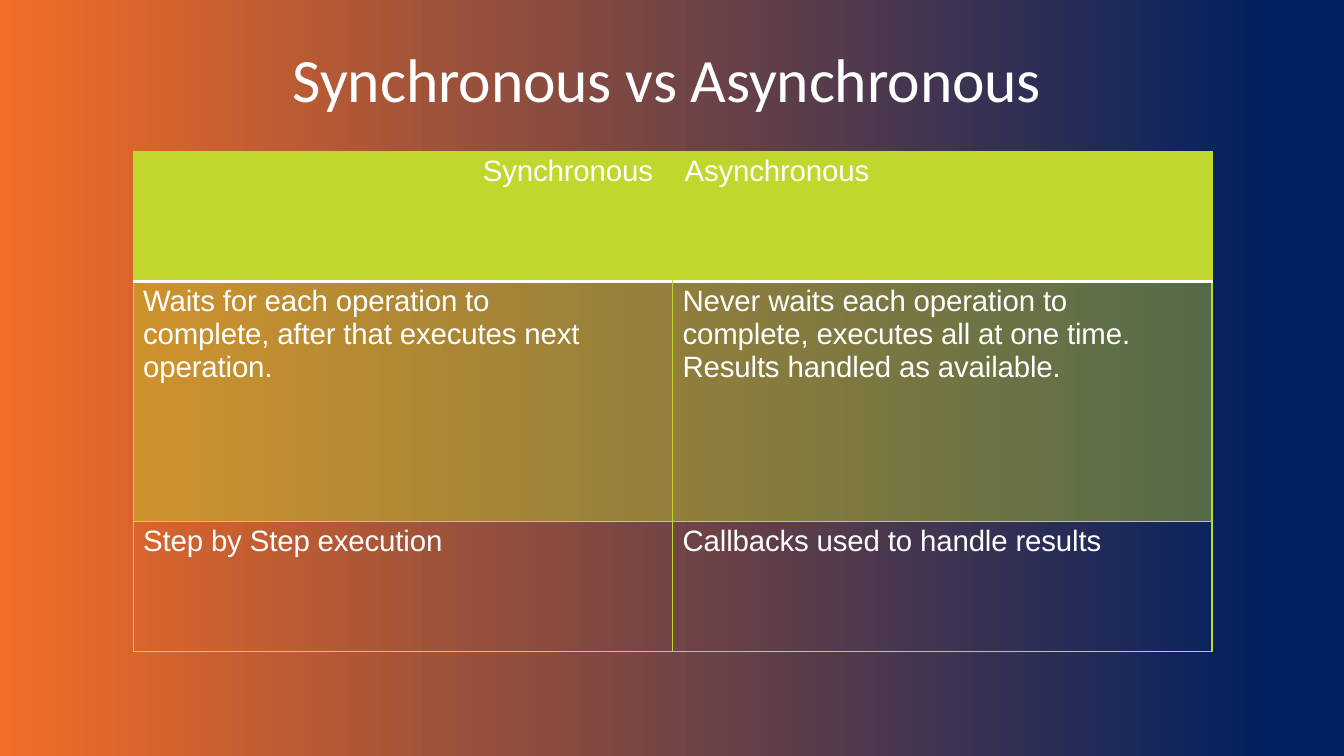
from lxml.etree import SubElement
from pptx import Presentation
from pptx.dml.color import RGBColor
from pptx.enum.text import MSO_ANCHOR, PP_ALIGN
from pptx.oxml.ns import qn
from pptx.util import Inches, Pt

COLORS = {"navy": "002060", "orange": "F26D26", "lime": "C1D72E", "white": "FFFFFF"}
ROWS = [
    ("Waits for each operation to complete, after that executes next operation.",
     "Never waits each operation to complete, executes all at one time. Results handled as available."),
    ("Step by Step execution", "Callbacks used to handle results"),
]


def rgb(name):
    return RGBColor.from_string(COLORS[name])


class SlideBuilder:
    heading_font = "Calibri"
    body_font = "Arial"

    def __init__(self, prs):
        self.s = prs.slides.add_slide(prs.slide_layouts[5])

    def background(self, start, end):
        fill = self.s.background.fill
        fill.gradient()
        fill.gradient_angle = 180
        for stop, name, position in zip(fill.gradient_stops, (start, end), (0.05, 1)):
            stop.color.rgb = rgb(name)
            stop.position = position

    def run(self, p, text, font, size):
        r = p.add_run()
        r.text = text
        r.font.name = font
        r.font.size = Pt(size)
        r.font.color.rgb = rgb("white")
        r.font._element.set("spc", "-10")

    def title(self, text, left, top, width, height):
        sp = self.s.shapes.title
        sp.left, sp.top = Inches(left), Inches(top)
        sp.width, sp.height = Inches(width), Inches(height)
        tf = sp.text_frame
        tf.word_wrap = True
        tf.margin_left = 0
        tf.vertical_anchor = MSO_ANCHOR.MIDDLE
        p = tf.paragraphs[0]
        p.alignment = PP_ALIGN.CENTER
        p.line_spacing = 0.9
        self.run(p, text, self.heading_font, 44)

    def table(self, left, top, col_widths, row_heights):
        frame = self.s.shapes.add_table(
            len(row_heights), len(col_widths), Inches(left), Inches(top),
            Inches(sum(col_widths)), Inches(sum(row_heights)))
        table = frame.table
        table.first_row = table.horz_banding = False
        for column, width in zip(table.columns, col_widths):
            column.width = Inches(width)
        for row, height in zip(table.rows, row_heights):
            row.height = Inches(height)
        return table

    def borders(self, cell, **special):
        tcPr = cell._tc.get_or_add_tcPr()
        for side in "LRTB":
            name, width = special.get(side, ("lime", 1))
            ln = SubElement(tcPr, qn(f"a:ln{side}"), w=str(Pt(width)))
            fill = SubElement(ln, qn("a:solidFill"))
            SubElement(fill, qn("a:srgbClr"), val=COLORS[name])

    def fill(self, cell, name=None, opacity=100):
        if name is None:
            cell.fill.background()
            return
        cell.fill.solid()
        cell.fill.fore_color.rgb = rgb(name)
        if opacity < 100:
            color = cell._tc.tcPr.find(qn("a:solidFill")).find(qn("a:srgbClr"))
            SubElement(color, qn("a:alpha"), val=str(opacity * 1000))

    def cell_text(self, cell, text, indent, right=0, align=PP_ALIGN.LEFT, tab=None):
        cell.margin_left = cell.margin_bottom = 0
        cell.margin_top = Inches(0.04)
        cell.margin_right = Inches(right)
        p = cell.text_frame.paragraphs[0]
        p.alignment = align
        p.space_before = Pt(3)
        pPr = p._p.get_or_add_pPr()
        pPr.set("marL", str(Inches(indent)))
        pPr.set("indent", "0")
        if tab:
            tabs = SubElement(pPr, qn("a:tabLst"))
            SubElement(tabs, qn("a:tab"), pos=str(Inches(tab)), algn="l")
        self.run(p, text, self.body_font, 21)


def main():
    prs = Presentation()
    prs.slide_width, prs.slide_height = Inches(13.33), Inches(7.5)
    b = SlideBuilder(prs)
    b.background("navy", "orange")
    b.title("Synchronous vs Asynchronous", 0.75, 0.44, 11.83, 0.75)

    table = b.table(1.32, 1.5, [5.35, 5.35], [1.29, 2.38, 1.29])
    rule = ("white", 2.25)
    header = table.cell(0, 0)
    header.merge(table.cell(0, 1))
    for col in range(2):
        b.borders(table.cell(0, col), B=rule)
        b.fill(table.cell(0, col), "lime")
    b.cell_text(header, "Synchronous\tAsynchronous", 0.07, align=PP_ALIGN.CENTER, tab=4.85)

    styles = [({"T": rule}, ("lime", 40)), ({}, ())]
    for row, (texts, (edges, fill)) in enumerate(zip(ROWS, styles), 1):
        for col, text in enumerate(texts):
            cell = table.cell(row, col)
            b.borders(cell, **edges)
            b.fill(cell, *fill)
            b.cell_text(cell, text, 0.1, right=0.65)

    prs.save("out.pptx")


if __name__ == "__main__":
    main()
